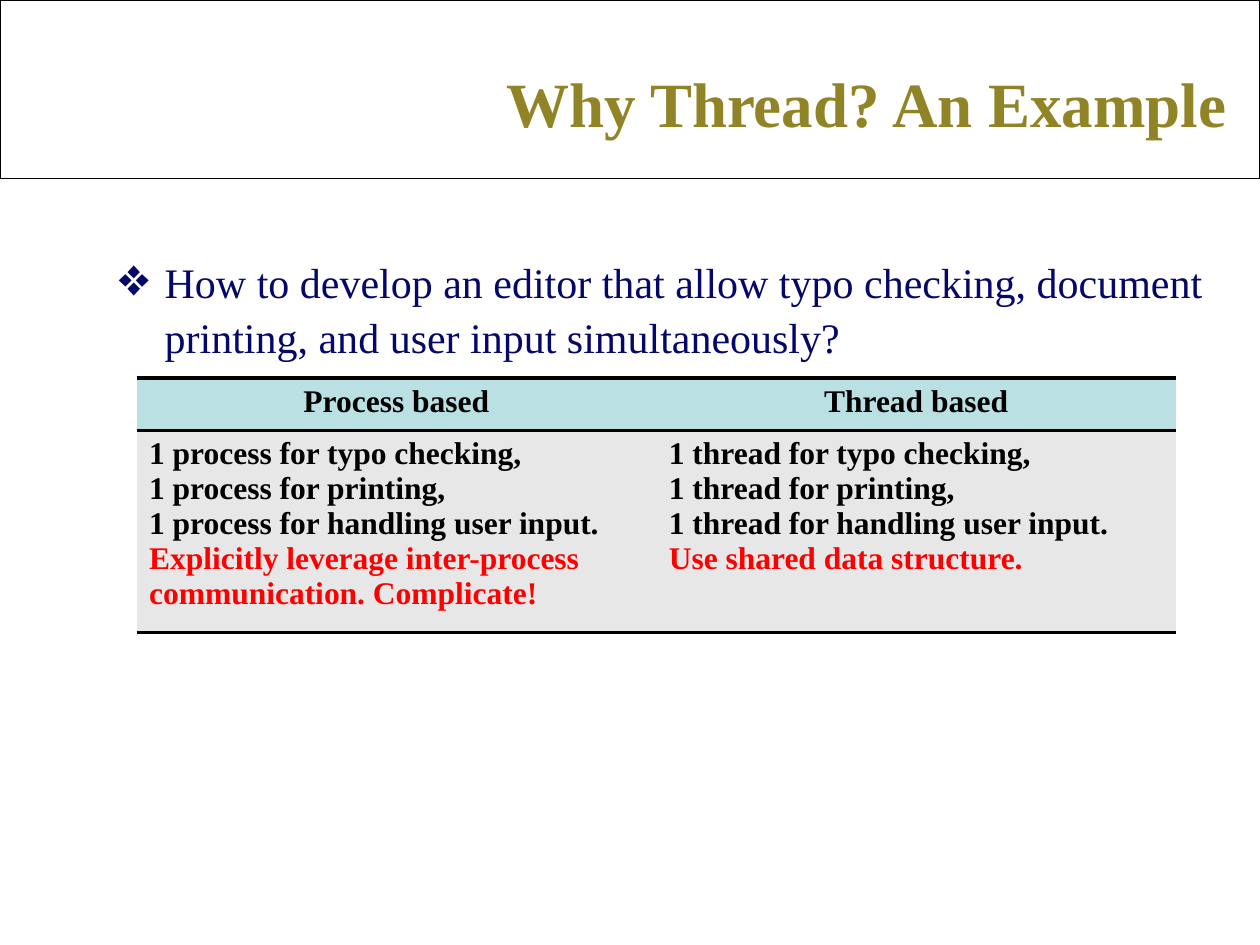
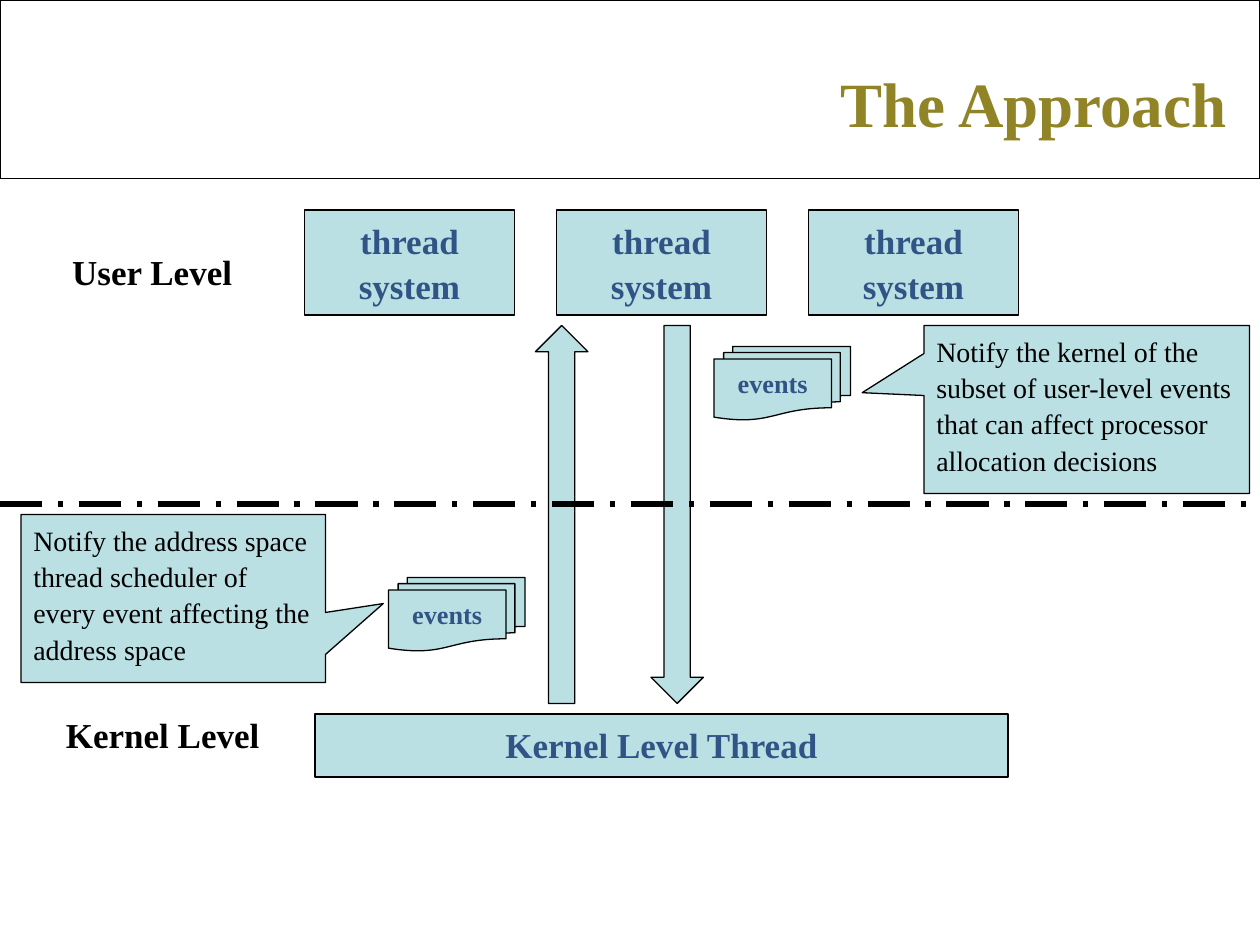
from lxml import etree
from pptx import Presentation
from pptx.dml.color import RGBColor
from pptx.enum.dml import MSO_LINE
from pptx.enum.shapes import MSO_CONNECTOR, MSO_SHAPE
from pptx.enum.text import MSO_ANCHOR, PP_ALIGN
from pptx.oxml import parse_xml
from pptx.oxml.ns import nsdecls, qn
from pptx.util import Pt

PX = 9525  # 96 px to the inch
FONT = "Times New Roman"
COLORS = {
    "white": "FFFFFF", "black": "000000", "gold": "918427", "navy": "050769",
    "blue": "305486", "aqua": "BBE0E3", "gray": "E7E7E7", "red": "FF0000",
}
PLAIN = "{2D5ABB26-0587-4C30-8999-92F81FD0307C}"
LEFT, MID, RIGHT = PP_ALIGN.LEFT, PP_ALIGN.CENTER, PP_ALIGN.RIGHT
TOP, CENTER = MSO_ANCHOR.TOP, MSO_ANCHOR.MIDDLE
RECT, CALLOUT = MSO_SHAPE.RECTANGLE, MSO_SHAPE.RECTANGULAR_CALLOUT
UP, DOWN = MSO_SHAPE.UP_ARROW, MSO_SHAPE.DOWN_ARROW
STACK = MSO_SHAPE.FLOWCHART_MULTIDOCUMENT
STRAIGHT, DASH = MSO_CONNECTOR.STRAIGHT, MSO_LINE.LONG_DASH_DOT


def px(*sizes):
    return [size * PX for size in sizes]


def rgb(name):
    return RGBColor.from_string(COLORS[name])


def write(frame, text, size=20, color="black", bold=False, align=LEFT,
          anchor=TOP, pitch=1.08, last=None):
    """Fill a frame, one paragraph a line; last recolours the final one."""
    frame.word_wrap = True
    frame.vertical_anchor = anchor
    frame.text = text
    for para in frame.paragraphs:
        para.alignment = align
        para.line_spacing = pitch
        font = para.runs[0].font
        font.name, font.size, font.bold = FONT, Pt(size), bold
        font.color.rgb = rgb(color)
    if last:
        font.color.rgb = rgb(last)


def label(slide, box, text, **style):
    frame = slide.shapes.add_textbox(*px(*box)).text_frame
    write(frame, text, **style)
    return frame


def shape(slide, kind, box, text=None, fill="aqua", tail=None, **style):
    item = slide.shapes.add_shape(kind, *px(*box))
    item.shadow.inherit = False
    item.fill.solid()
    item.fill.fore_color.rgb = rgb(fill)
    item.line.color.rgb = rgb("black")
    item.line.width = Pt(0.75)
    if tail:
        item.adjustments[0], item.adjustments[1] = tail
    if text:
        write(item.text_frame, text, **style)


def divide(slide, top):
    line = slide.shapes.add_connector(STRAIGHT, *px(0, top, 960, top))
    line.line.color.rgb = rgb("black")
    line.line.width = Pt(3)
    line.line.dash_style = DASH
    etree.SubElement(line._element.spPr, qn("a:effectLst"))


def bullet(para, mark, indent):
    props = para._p.get_or_add_pPr()
    props.set("marL", str(indent * PX))
    props.set("indent", str(-indent * PX))
    etree.SubElement(props, qn("a:buFont")).set("typeface", FONT)
    etree.SubElement(props, qn("a:buChar")).set("char", mark)


def rule(cell, sides):
    """Draw black 2 pt borders on the given sides, in T, B order."""
    props = cell._tc.get_or_add_tcPr()
    for spot, side in enumerate(sides):
        props.insert(spot, parse_xml(
            f'<a:ln{side} {nsdecls("a")} w="{Pt(2)}"><a:solidFill>'
            f'<a:srgbClr val="{COLORS["black"]}"/></a:solidFill></a:ln{side}>'))


def grid(slide, box, rows, heights):
    """Add a table with a centred head row and ruled rows."""
    table = slide.shapes.add_table(len(rows), len(rows[0]), *px(*box)).table
    table._tbl.tblPr.find(qn("a:tableStyleId")).text = PLAIN
    table.horz_banding = False
    for r, row in enumerate(rows):
        head = r == 0
        table.rows[r].height = heights[r] * PX
        for c, text in enumerate(row):
            cell = table.cell(r, c)
            cell.fill.solid()
            cell.fill.fore_color.rgb = rgb("aqua" if head else "gray")
            write(cell.text_frame, text, size=18, bold=True, pitch=1.0,
                  align=MID if head else LEFT, last=None if head else "red")
            rule(cell, "TB")


def page(deck, title):
    slide = deck.slides.add_slide(deck.slide_layouts[6])
    shape(slide, RECT, (0, 0, 960, 136), fill="white")
    label(slide, (248, 32, 696, 88), title, size=36, color="gold", bold=True,
          align=RIGHT, anchor=CENTER)
    return slide


def why(deck):
    slide = page(deck, "Why Thread? An Example")
    frame = label(slide, (80, 188, 856, 92),
                  "How to develop an editor that allow typo checking, document "
                  "printing, and user input simultaneously?",
                  size=24, color="navy", anchor=CENTER)
    bullet(frame.paragraphs[0], "❖", 36)
    tasks = ("1 {0} for typo checking,\n1 {0} for printing,\n"
             "1 {0} for handling user input.\n")
    grid(slide, (104, 288, 792, 168), [
        ["Process based", "Thread based"],
        [tasks.format("process") + "Explicitly leverage inter-process "
         "communication. Complicate!",
         tasks.format("thread") + "Use shared data structure."],
    ], (40, 128))


def plan(deck):
    slide = page(deck, "The Approach")
    name = dict(color="blue", bold=True, align=MID)
    for col in range(3):
        shape(slide, RECT, (232 + 192 * col, 160, 160, 80), "thread system",
              **name)
    shape(slide, RECT, (240, 544, 528, 48), "Kernel Level Thread", **name)
    for kind, left in ((UP, 408), (DOWN, 496)):
        shape(slide, kind, (left, 248, 40, 288))
    divide(slide, 384)
    for text, left, top in (("User Level", 16, 184), ("Kernel Level", 24, 536)):
        label(slide, (left, top, 200, 48), text, bold=True, align=MID)
    for left, top in ((544, 264), (296, 440)):
        shape(slide, STACK, (left, top, 104, 56), "events", size=15, **name)
    shape(slide, CALLOUT, (16, 392, 232, 128),
          "Notify the address space thread scheduler of every event affecting "
          "the address space", tail=(0.69, 0.03), size=16)
    shape(slide, CALLOUT, (704, 248, 248, 128),
          "Notify the kernel of the subset of user-level events that can "
          "affect processor allocation decisions", tail=(-0.69, -0.1), size=16)


def main():
    deck = Presentation()
    deck.slide_width, deck.slide_height = px(960, 720)
    why(deck)
    plan(deck)
    deck.save("out.pptx")


if __name__ == "__main__":
    main()
